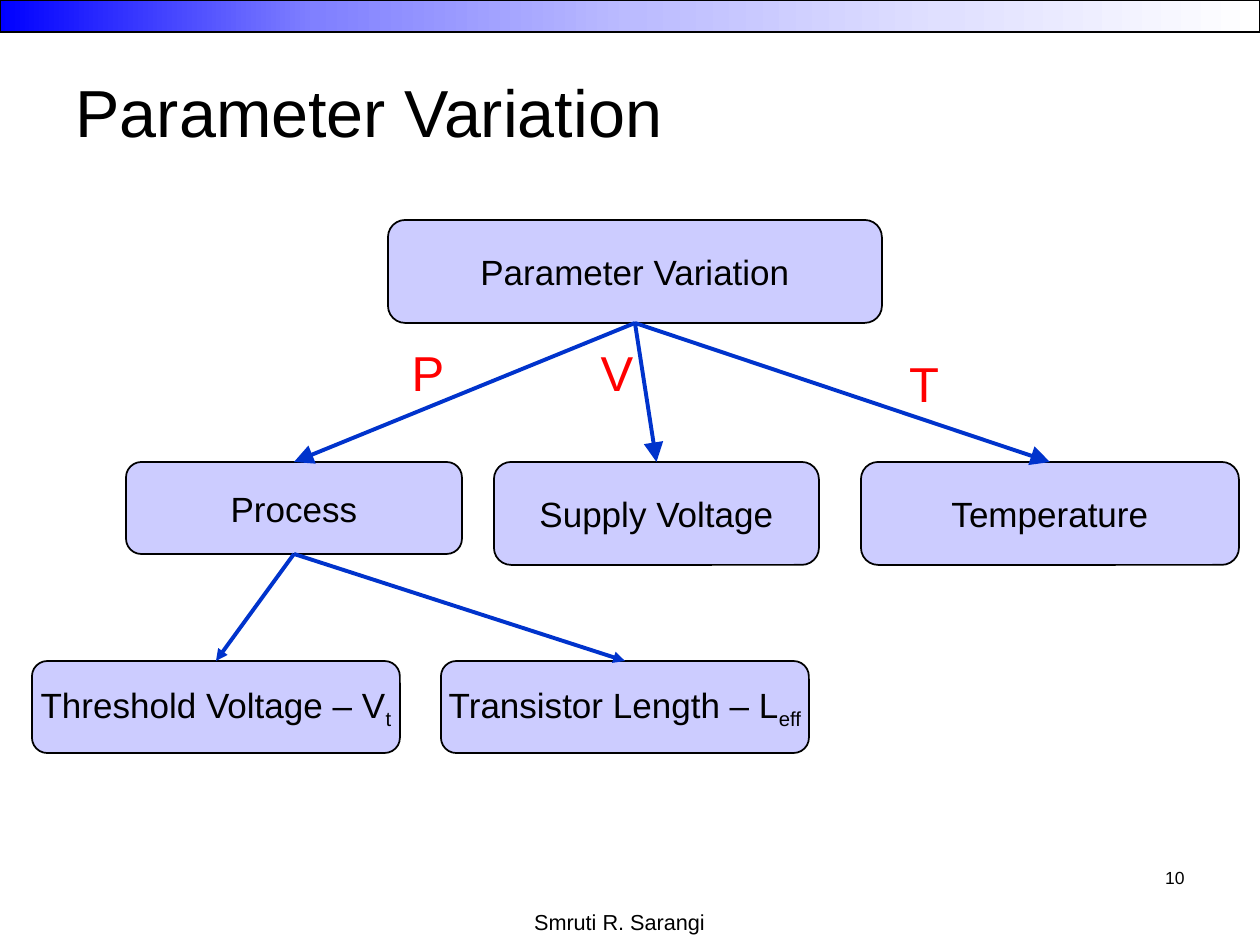
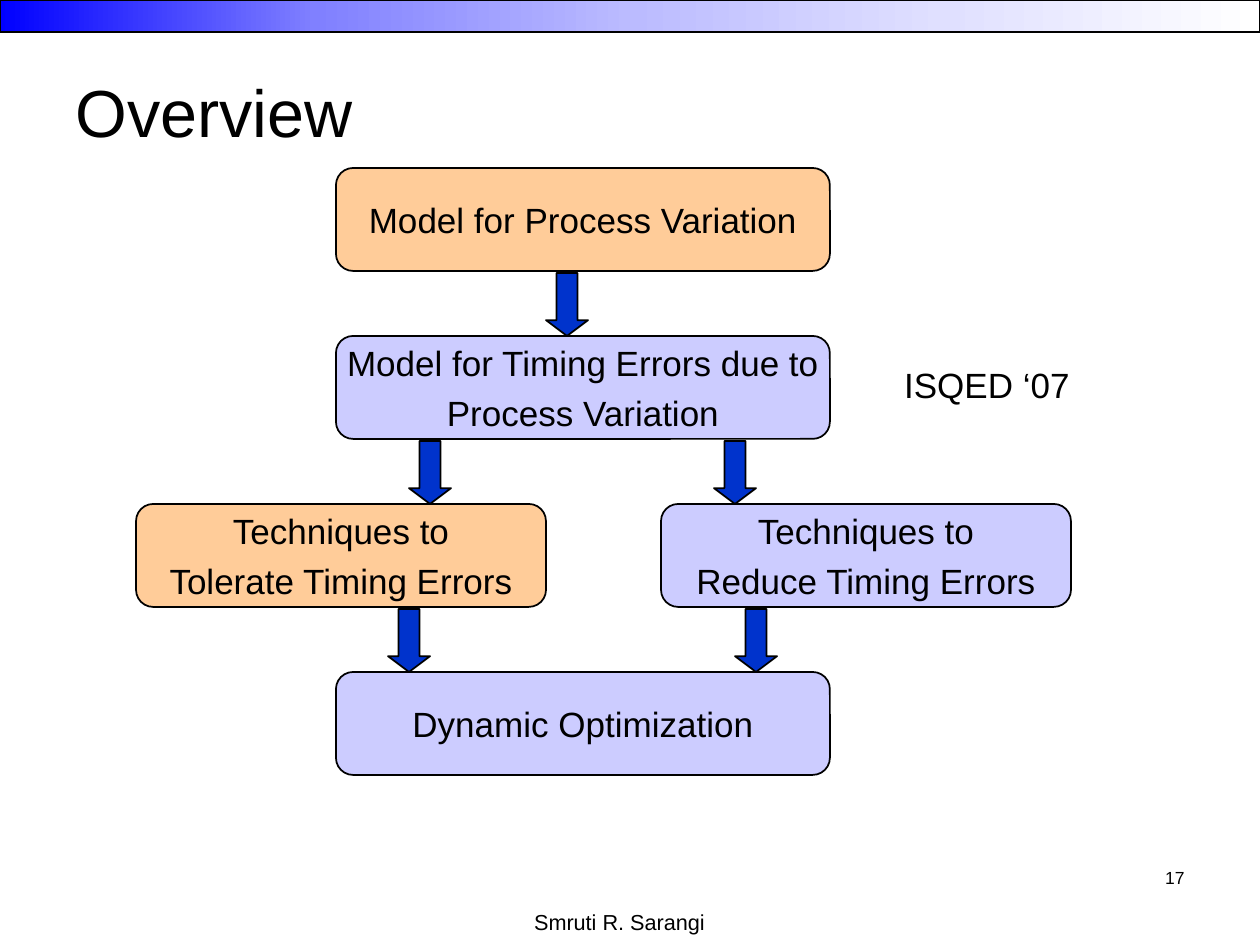
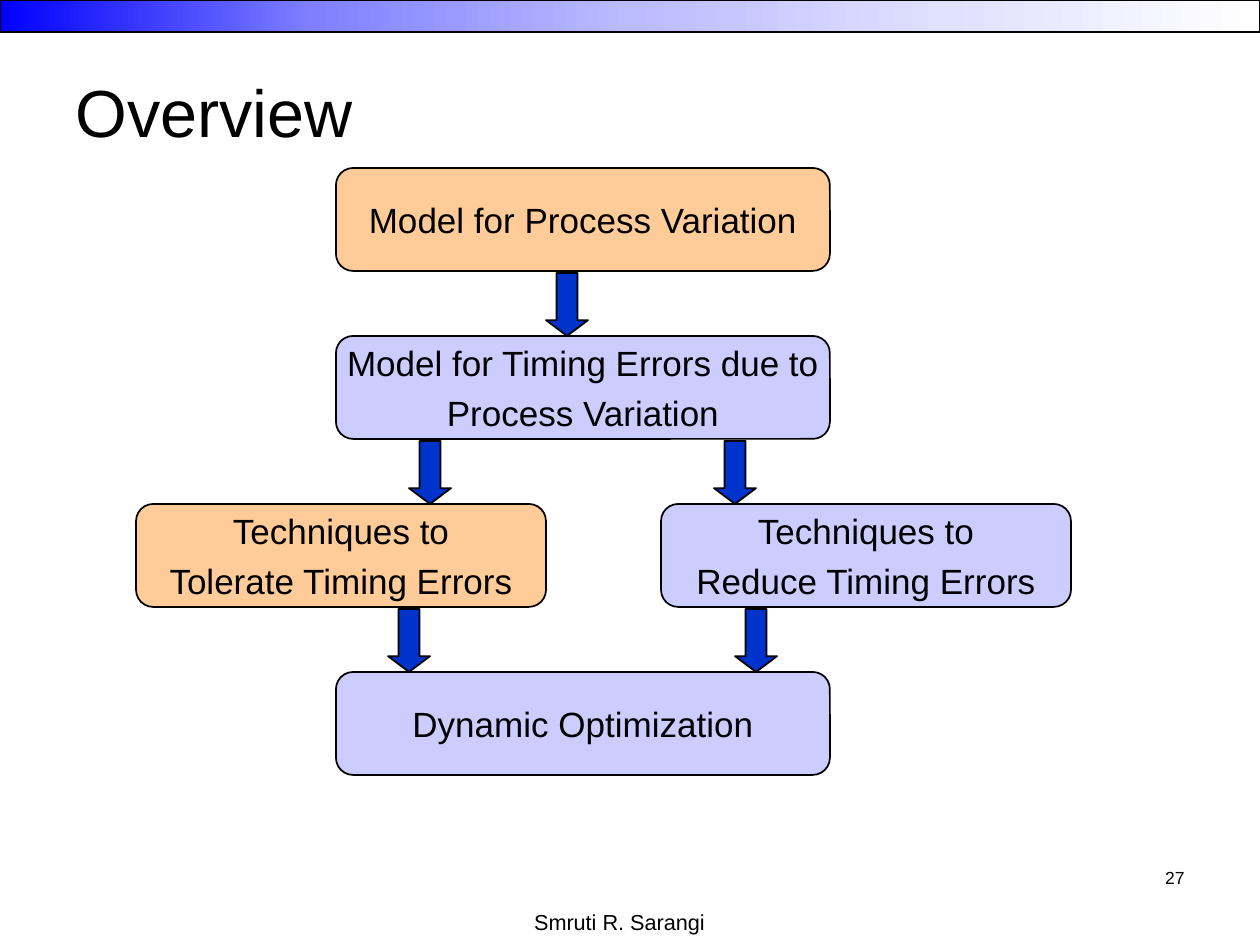
from collections import namedtuple

from lxml.etree import SubElement
from pptx import Presentation
from pptx.dml.color import RGBColor
from pptx.enum.shapes import MSO_CONNECTOR as Connector, MSO_SHAPE as Shape
from pptx.enum.text import MSO_ANCHOR as Anchor, MSO_AUTO_SIZE as AutoSize, PP_ALIGN as Align
from pptx.oxml.ns import qn
from pptx.util import Pt

PX = 914400 / 126
FONT = "Arial"
COLORS = {"black": "000000", "red": "FF0000", "arrow": "0033CC",
          "lavender": "CCCCFF", "orange": "FFCC99"}
BAND_STOPS = {0: "0000FF", 25: "8080FF", 50: "BBBBFF", 75: "E0E0FF", 100: "FFFFFF"}
AUTHOR = "Smruti R. Sarangi"
Box = namedtuple("Box", "left top width height")
PAGE = Box(0, 0, 1260, 945)
TITLE = Box(63, 32, 1134, 157)
TREE = Box(32, 220, 1207, 534)
FLOW = Box(136, 168, 935, 607)
BOX_HEIGHT, LOW_BOX_HEIGHT = 103, 92


def emu(pixels):
    """Turn pixels into EMU."""
    return round(pixels * PX)


def rgb(name):
    """Return a named colour."""
    return RGBColor.from_string(COLORS[name])


def within(region, left, top, width, height):
    """Return a box placed relative to a region."""
    return Box(region.left + left, region.top + top, width, height)


def place(shape, box):
    """Move and size a shape to fit a box."""
    shape.left, shape.top, shape.width, shape.height = map(emu, box)


def write(shape, text, size=20, color="black", align=Align.CENTER, anchor=Anchor.MIDDLE,
          wrap=False, space=5, subscript=""):
    """Fill a shape with formatted text, one paragraph for each line."""
    frame = shape.text_frame
    frame.text = text
    frame.word_wrap = wrap
    frame.auto_size = AutoSize.NONE
    frame.vertical_anchor = anchor
    if subscript:
        run = frame.paragraphs[-1].add_run()
        run.text = subscript
        run.font._element.set("baseline", "-25000")
    for index, paragraph in enumerate(frame.paragraphs):
        paragraph.alignment = align
        paragraph.space_before = Pt(space if index else 0)
        for run in paragraph.runs:
            run.font.name = FONT
            run.font.size = Pt(size)
            run.font.color.rgb = rgb(color)


def add_text(slide, box, text, **text_format):
    """Add a text box."""
    write(slide.shapes.add_textbox(*map(emu, box)), text, **text_format)


def add_shape(slide, kind, box, fill):
    """Add an outlined preset shape without a shadow."""
    shape = slide.shapes.add_shape(kind, *map(emu, box))
    shape.shadow.inherit = False
    shape.fill.solid()
    shape.fill.fore_color.rgb = rgb(fill)
    shape.line.color.rgb = rgb("black")
    shape.line.width = Pt(1)
    return shape


def add_node(slide, box, text, fill="lavender", subscript=""):
    """Add a labelled rounded box."""
    node = add_shape(slide, Shape.ROUNDED_RECTANGLE, box, fill)
    write(node, text, subscript=subscript)
    return node


def link(slide, parent, child, head):
    """Draw an arrow from the bottom of a parent to the top of its child."""
    line = slide.shapes.add_connector(Connector.STRAIGHT, 0, 0, 0, 0)
    line.begin_connect(parent, 2)
    line.end_connect(child, 0)
    line.line.color.rgb = rgb("arrow")
    line.line.width = Pt(2.25)
    SubElement(line.line._get_or_add_ln(), qn("a:tailEnd"), type="triangle", w=head, len=head)
    SubElement(line.element.spPr, qn("a:effectLst"))


def add_band(presentation, slide):
    """Put the gradient band behind everything on the slide master."""
    band = add_shape(slide, Shape.RECTANGLE, Box(0, 0, PAGE.width, 32), "lavender")
    band.fill.gradient()
    band.fill.gradient_angle = 0
    stops = band.element.spPr.find(qn("a:gradFill")).find(qn("a:gsLst"))
    for stop in list(stops):
        stops.remove(stop)
    for position, color in BAND_STOPS.items():
        stop = SubElement(stops, qn("a:gs"), pos=str(position * 1000))
        SubElement(stop, qn("a:srgbClr"), val=color)
    presentation.slide_master.element.cSld.spTree.insert(2, band.element)


def add_slide(presentation, title, number):
    """Add a slide with its title, author and page number."""
    slide = presentation.slides.add_slide(presentation.slide_layouts[5])
    place(slide.shapes.title, TITLE)
    write(slide.shapes.title, title, size=38, align=Align.LEFT, wrap=True)
    add_text(slide, Box(420, 903, 399, 42), AUTHOR, size=12.4, anchor=Anchor.TOP, wrap=True)
    add_text(slide, Box(903, 861, 294, 63), str(number), size=10, align=Align.RIGHT,
             anchor=Anchor.TOP, wrap=True)
    return slide


def draw_tree(slide, region):
    """Draw the tree of variation sources."""
    root = add_node(slide, within(region, 356, 0, 494, BOX_HEIGHT), "Parameter Variation")
    sources = [add_node(slide, within(region, left, 242, width, height), text)
               for left, width, height, text in (
                   (94, 336, LOW_BOX_HEIGHT, "Process"),
                   (462, 325, BOX_HEIGHT, "Supply Voltage"),
                   (829, 378, BOX_HEIGHT, "Temperature"))]
    effects = [add_node(slide, within(region, left, 441, 368, LOW_BOX_HEIGHT), text,
                        subscript=subscript)
               for left, text, subscript in (
                   (0, "Threshold Voltage – V", "t"),
                   (409, "Transistor Length – L", "eff"))]
    for source in sources:
        link(slide, root, source, "lg")
    for effect in effects:
        link(slide, sources[0], effect, "med")
    for left, top, letter in ((367, 116, "P"), (556, 116, "V"), (863, 127, "T")):
        add_text(slide, within(region, left, top, 58, 72), letter, size=28, color="red")


def draw_flow(slide, region):
    """Draw the four rows of the overview and the block arrows between them."""
    pitch, arrow_width, arrow_height = 168, 42, 63
    for row, left, width, text, fill in (
            (0, 200, 494, "Model for Process Variation", "orange"),
            (1, 200, 494, "Model for Timing Errors due to\nProcess Variation", "lavender"),
            (2, 0, 410, "Techniques to\nTolerate Timing Errors", "orange"),
            (2, 525, 410, "Techniques to\nReduce Timing Errors", "lavender"),
            (3, 200, 494, "Dynamic Optimization", "lavender")):
        add_node(slide, within(region, left, row * pitch, width, BOX_HEIGHT), text, fill)
    for row, left in ((0, 410), (1, 273), (1, 578), (2, 252), (2, 599)):
        box = within(region, left, (row + 1) * pitch - arrow_height, arrow_width, arrow_height)
        arrow = add_shape(slide, Shape.DOWN_ARROW, box, "arrow")
        arrow.adjustments[0] = 0.5
        arrow.adjustments[1] = 0.375


def main():
    """Build and save the presentation."""
    presentation = Presentation()
    presentation.slide_width, presentation.slide_height = emu(PAGE.width), emu(PAGE.height)
    variation = add_slide(presentation, "Parameter Variation", 10)
    add_band(presentation, variation)
    draw_tree(variation, TREE)
    for number, venue in ((17, "ISQED ‘07"), (27, None)):
        overview = add_slide(presentation, "Overview", number)
        draw_flow(overview, FLOW)
        if venue:
            add_text(overview, within(FLOW, 756, 189, 190, 55), venue)
    presentation.save("out.pptx")


if __name__ == "__main__":
    main()
